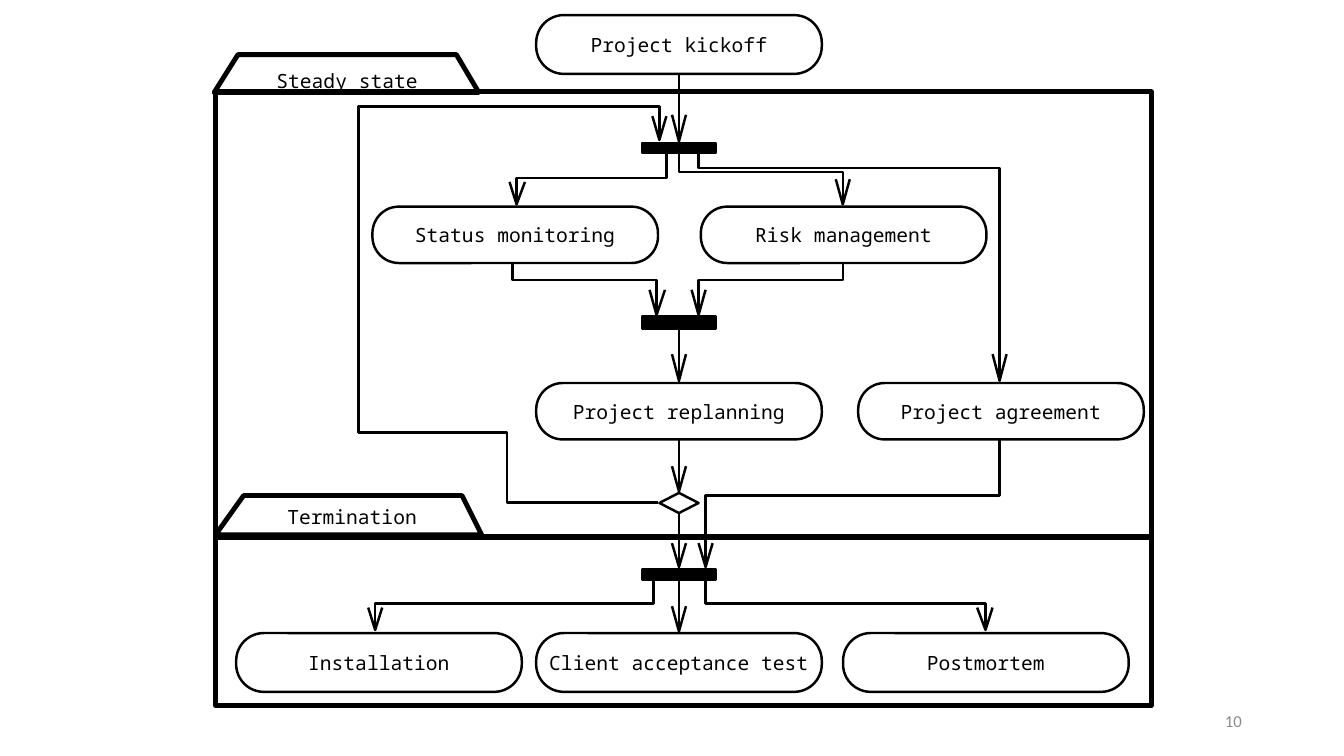
from lxml import etree
from pptx import Presentation
from pptx.dml.color import RGBColor
from pptx.enum.shapes import MSO_CONNECTOR, MSO_SHAPE
from pptx.enum.text import MSO_ANCHOR, PP_ALIGN
from pptx.oxml.ns import qn
from pptx.util import Pt

# ---- Content (lengths in points) ----
COLORS = {"ink": "000000", "paper": "FFFFFF", "number": "8C8C8C"}
MONO = "Noto Sans Mono"
THIN, THICK = 1.75, 3.5
MID = 485  # centre line of the flow
NODE_W, BAR_W = 204, 52.6
TIP_GAP = 1.5  # space between an arrow tip and its target

# name: (centre x, top, height)
NODES = {
    "Project kickoff": (MID, 10.8, 42),
    "Status monitoring": (368, 147.6, 40.3),
    "Risk management": (602.6, 147.6, 40.3),
    "Project replanning": (MID, 273.6, 40.3),
    "Project agreement": (715, 273.6, 40.3),
    "Installation": (270.7, 452.2, 42),
    "Client acceptance test": (MID, 452.2, 42),
    "Postmortem": (704.2, 452.2, 42),
}
# name: (top, height)
BARS = {"fork": (102.2, 7.2), "join": (226.1, 8.6), "finish": (406.8, 7.2)}
DECISION = (352.1, 28, 14.4)  # top, width, height

# label, frame top, frame height, tab outline, label centre x, label top
PHASES = [
    ("Steady state", 65.5, 318.2,
     [(153, 65.5), (169.5, 39.2), (326.5, 39.2), (341.5, 65.5)], 248, 49),
    ("Termination", 383, 121,
     [(154.5, 382), (174, 353.9), (329.5, 353.9), (344.5, 382)], 251.6, 360.7),
]
FRAME_X, FRAME_W = 154.1, 668.2

# from, to, head length
STRAIGHT = [
    ("Project kickoff", "fork", 19.2),
    ("join", "Project replanning", 19.4),
    ("Project replanning", "decision", 17.5),
    ("decision", "finish", 17.5),
    ("finish", "Client acceptance test", 17.5),
]
# bends of each route ending at the arrow tip, head length
ROUTES = [
    ([(470, 359.3), (362.2, 359.3), (362.2, 308.9), (255.6, 308.9),
      (255.6, 76.3), (470.9, 76.3), (470.9, 100.4)], 17.3),
    ([(476, 109.4), (476, 126.7), (369.4, 126.7), (369.4, 146.1)], 15.8),
    ([(MID, 109.4), (MID, 123.1), (602, 123.1), (602, 146.1)], 17.6),
    ([(499, 109.4), (499, 119.5), (714.2, 119.5), (714.2, 272.1)], 19.4),
    ([(366, 187), (366, 200.2), (469.4, 200.2), (469.4, 224.6)], 17.3),
    ([(602, 187), (602, 200.2), (499, 200.2), (499, 224.6)], 17.3),
    ([(714.2, 313), (714.2, 354.2), (504, 354.2), (504, 404.9)], 17.3),
    ([(467.3, 412), (467.3, 431.3), (267.8, 431.3), (267.8, 450)], 15.8),
    ([(504, 412), (504, 431.3), (703.5, 431.3), (703.5, 450)], 15.8),
]

prs = Presentation()
prs.slide_width, prs.slide_height = Pt(960), Pt(540)
s = prs.slides.add_slide(prs.slide_layouts[6])


# ---- Helpers ----
def rgb(name):
    return RGBColor.from_string(COLORS[name])


def style(sp, fill=None, width=THIN):
    sp.shadow.inherit = False
    if fill:
        sp.fill.solid()
        sp.fill.fore_color.rgb = rgb(fill)
    else:
        sp.fill.background()
    sp.line.color.rgb = rgb("ink")
    sp.line.width = Pt(width)
    return sp


def box(kind, x, y, w, h, **fmt):
    return style(s.shapes.add_shape(kind, Pt(x), Pt(y), Pt(w), Pt(h)), **fmt)


def outline(points, close=False, **fmt):
    fb = s.shapes.build_freeform(*points[0], scale=Pt(1))
    fb.add_line_segments(points[1:], close=close)
    return style(fb.convert_to_shape(), **fmt)


def head(x, y, length):
    outline([(x + 5.2, y - length), (x, y), (x - 5.2, y - length)])


def write(sp, text, size=14, font=MONO, color="ink", align=PP_ALIGN.CENTER,
          anchor=MSO_ANCHOR.MIDDLE, inset=0, wrap=False):
    tf = sp.text_frame
    tf.word_wrap = wrap
    tf.vertical_anchor = anchor
    tf.margin_left = tf.margin_right = Pt(inset)
    tf.margin_top = tf.margin_bottom = Pt(inset / 2)
    p = tf.paragraphs[0]
    p.alignment = align
    r = p.add_run()
    r.text = text
    r.font.size, r.font.name = Pt(size), font
    r.font.color.rgb = rgb(color)


# ---- Phase frames with their tabs ----
for label, top, height, tab, cx, label_top in PHASES:
    box(MSO_SHAPE.RECTANGLE, FRAME_X, top, FRAME_W, height, width=THICK)
    tb = s.shapes.add_textbox(Pt(cx - 60), Pt(label_top), Pt(120), Pt(19))
    write(tb, label, anchor=MSO_ANCHOR.TOP)
    outline(tab, close=True, width=THICK)

# ---- Bent routes ----
for points, length in ROUTES:
    outline(points)
    head(*points[-1], length)

# ---- Activities, bars and decision ----
steps = {}
for name, (cx, top, height) in NODES.items():
    sp = box(MSO_SHAPE.ROUNDED_RECTANGLE, cx - NODE_W / 2, top, NODE_W, height,
             fill="paper")
    sp.adjustments[0] = 0.47
    write(sp, name)
    steps[name] = sp
for name, (top, height) in BARS.items():
    steps[name] = box(MSO_SHAPE.RECTANGLE, MID - BAR_W / 2, top, BAR_W, height,
                      fill="ink")
top, width, height = DECISION
steps["decision"] = box(MSO_SHAPE.DIAMOND, MID - width / 2, top, width, height,
                        fill="paper")

# ---- Straight arrows down the centre line ----
for start, end, length in STRAIGHT:
    c = s.shapes.add_connector(MSO_CONNECTOR.STRAIGHT, 0, 0, 0, 0)
    c.begin_connect(steps[start], 2)
    c.end_connect(steps[end], 0)
    c.line.color.rgb = rgb("ink")
    c.line.width = Pt(THIN)
    etree.SubElement(c._element.spPr, qn("a:effectLst"))
    head(MID, steps[end].top.pt - TIP_GAP, length)

# ---- Page number ----
tb = s.shapes.add_textbox(Pt(678.2), Pt(500.4), Pt(216), Pt(28.8))
write(tb, "10", size=12, font="Calibri", color="number", align=PP_ALIGN.RIGHT,
      inset=7.2, wrap=True)

prs.save("out.pptx")
